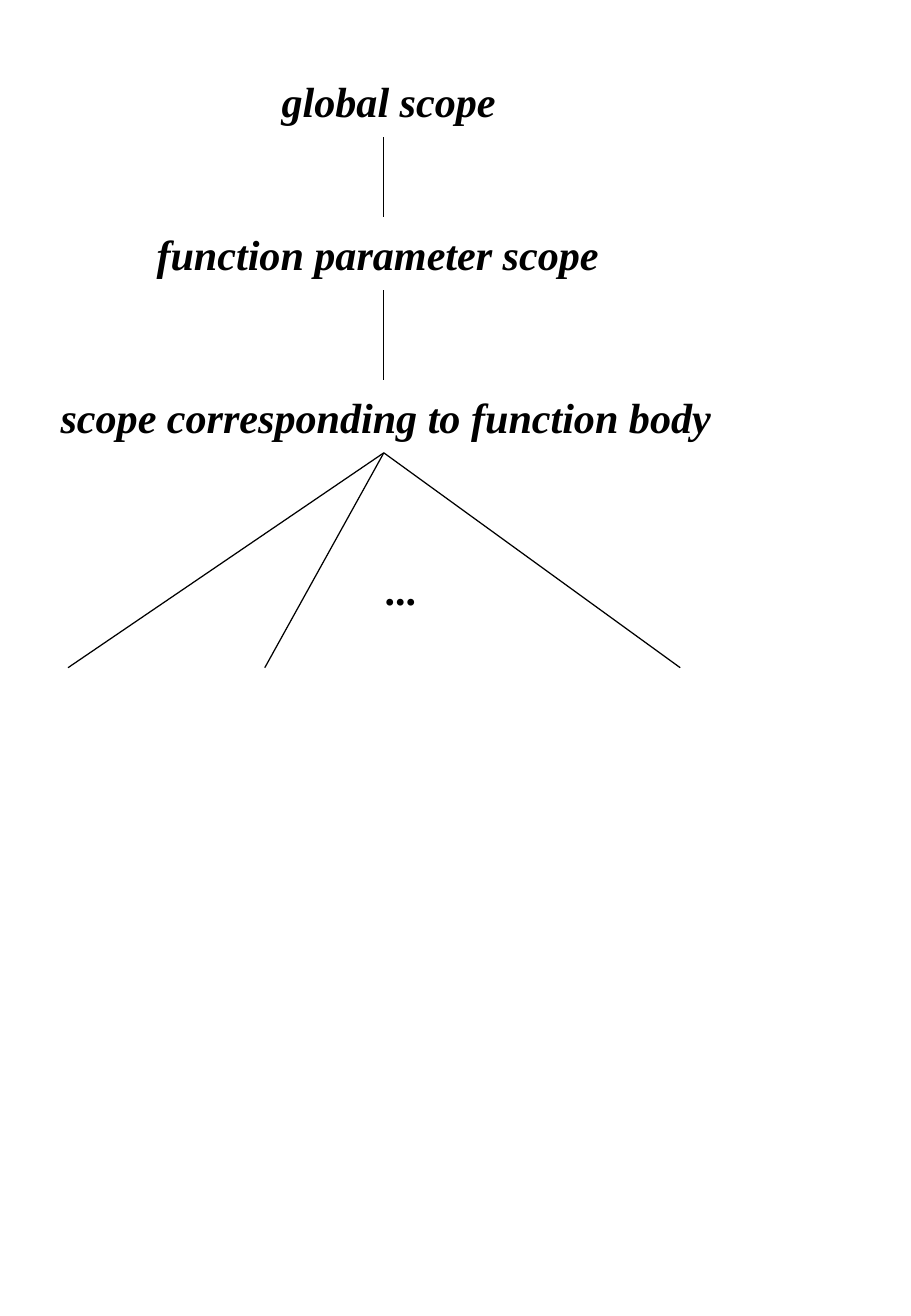
from lxml import etree
from pptx import Presentation
from pptx import util as u
from pptx.dml.color import RGBColor
from pptx.enum import shapes, text
from pptx.oxml.ns import qn


def colour(value):
    return RGBColor.from_string(value)


class ScopeDiagram:
    font_name = "Times New Roman"
    font_size = 25
    ink = "000000"
    paper = "FFFFFF"
    label_height = 0.6

    def __init__(self, slide):
        self.slide = slide

    def label(self, wording, left, top, width):
        box = self.slide.shapes.add_shape(
            shapes.MSO_SHAPE.ROUNDED_RECTANGLE,
            u.Inches(left), u.Inches(top),
            u.Inches(width), u.Inches(self.label_height))
        box.shadow.inherit = False
        box.fill.background()
        box.line.color.rgb = colour(self.paper)
        box.line.width = u.Pt(0)
        frame = box.text_frame
        frame.word_wrap = False
        frame.vertical_anchor = text.MSO_ANCHOR.MIDDLE
        frame.margin_left = frame.margin_right = u.Inches(0.11)
        frame.margin_top = frame.margin_bottom = u.Inches(0.05)
        frame.text = wording
        para = frame.paragraphs[0]
        para.alignment = text.PP_ALIGN.LEFT
        font = para.runs[0].font
        font.name = self.font_name
        font.size = u.Pt(self.font_size)
        font.bold = font.italic = True
        font.color.rgb = colour(self.ink)

    def branch(self, start, end):
        line = self.slide.shapes.add_connector(
            shapes.MSO_CONNECTOR.STRAIGHT,
            *(u.Inches(value) for value in (*start, *end)))
        line.line.color.rgb = colour(self.ink)
        line.line.width = u.Pt(0.75)
        etree.SubElement(line._element.spPr, qn("a:effectLst"))


def main():
    deck = Presentation()
    deck.slide_width = u.Inches(7.5)
    deck.slide_height = u.Inches(10.84)
    page = deck.slides.add_slide(deck.slide_layouts[6])
    diagram = ScopeDiagram(page)

    scopes = [
        ("global scope", 2.18, 0.53, 1.97),
        ("function parameter scope", 1.15, 1.79, 4.02),
        ("scope corresponding to function body", 0.36, 3.13, 5.59),
    ]
    for scope in scopes:
        diagram.label(*scope)
    diagram.label("...", 3.04, 4.55, 0.63)

    trunk = 3.16
    tops = [top for _, _, top, _ in scopes]
    for upper, lower in zip(tops, tops[1:]):
        diagram.branch((trunk, upper + diagram.label_height), (trunk, lower))

    fork = (trunk, tops[-1] + diagram.label_height)
    for leaf in (0.56, 2.18, 5.6):
        diagram.branch(fork, (leaf, 5.5))

    deck.save("out.pptx")


if __name__ == "__main__":
    main()
